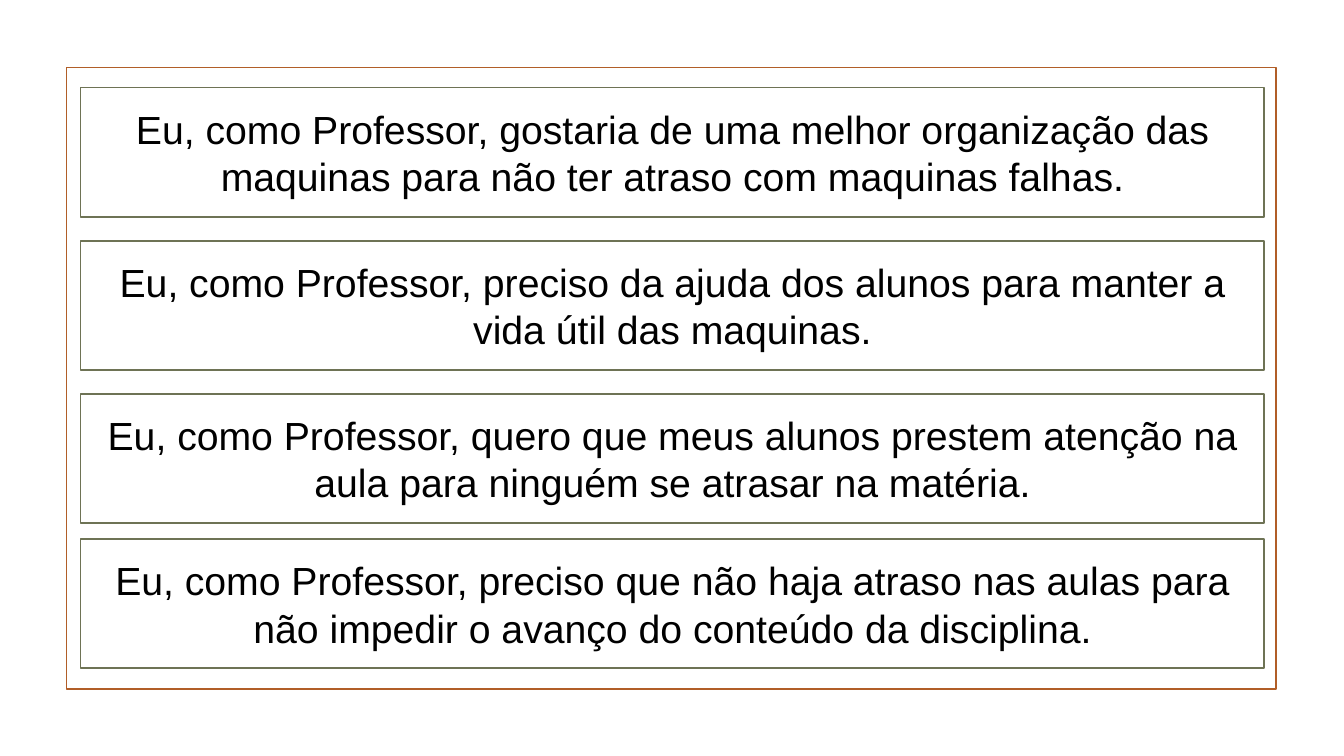
from pptx import Presentation
from pptx.dml.color import RGBColor
from pptx.enum.shapes import MSO_SHAPE
from pptx.enum.text import MSO_ANCHOR, PP_ALIGN
from pptx.util import Pt

RECTANGLE = MSO_SHAPE.RECTANGLE
MIDDLE = MSO_ANCHOR.MIDDLE
CENTER = PP_ALIGN.CENTER

STORIES = [
    (62.6, "Eu, como Professor, gostaria de uma melhor organização das maquinas para não ter atraso com maquinas falhas."),
    (172.1, "Eu, como Professor, preciso da ajuda dos alunos para manter a vida útil das maquinas."),
    (281.5, "Eu, como Professor, quero que meus alunos prestem atenção na aula para ninguém se atrasar na matéria."),
    (385.2, "Eu, como Professor, preciso que não haja atraso nas aulas para não impedir o avanço do conteúdo da disciplina."),
]


def color(value):
    return RGBColor.from_string(value)


def add_box(slide, left, top, width, height, line, fill=None):
    shape = slide.shapes.add_shape(RECTANGLE, Pt(left), Pt(top), Pt(width), Pt(height))
    shape.shadow.inherit = False
    if fill:
        shape.fill.solid()
        shape.fill.fore_color.rgb = color(fill)
    else:
        shape.fill.background()
    shape.line.color.rgb = color(line)
    shape.line.width = Pt(1.25)
    return shape


def write_text(shape, text, size=28, font="Arial", font_color="000000"):
    frame = shape.text_frame
    frame.word_wrap = True
    frame.vertical_anchor = MIDDLE
    paragraph = frame.paragraphs[0]
    paragraph.alignment = CENTER
    run = paragraph.add_run()
    run.text = text
    run.font.size = Pt(size)
    run.font.name = font
    run.font.color.rgb = color(font_color)


def main():
    presentation = Presentation()
    presentation.slide_width = Pt(960)
    presentation.slide_height = Pt(540)
    slide = presentation.slides.add_slide(presentation.slide_layouts[6])
    add_box(slide, 47.6, 48.2, 864, 444.2, "B15E28")
    for top, story in STORIES:
        card = add_box(slide, 57.6, top, 845.3, 92.2, "6E7355", fill="FFFFFF")
        write_text(card, story)
    presentation.save("out.pptx")


if __name__ == "__main__":
    main()
